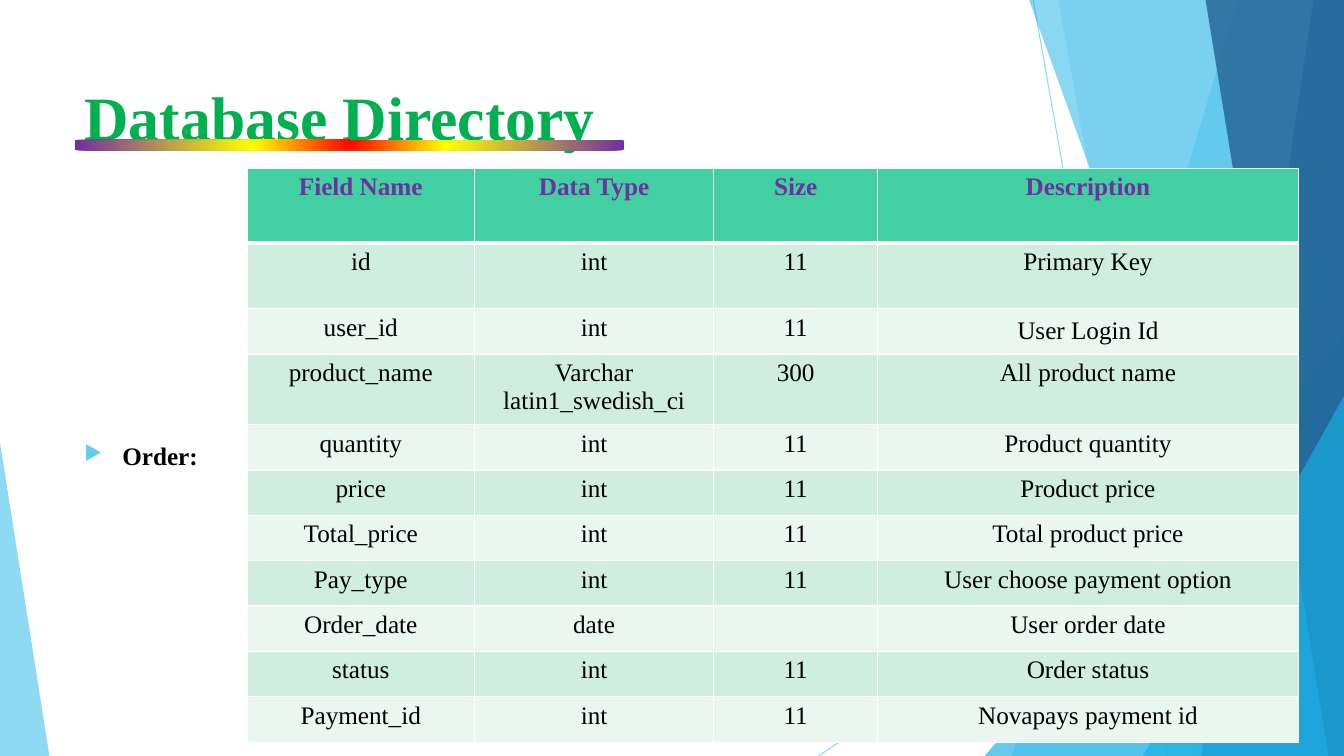
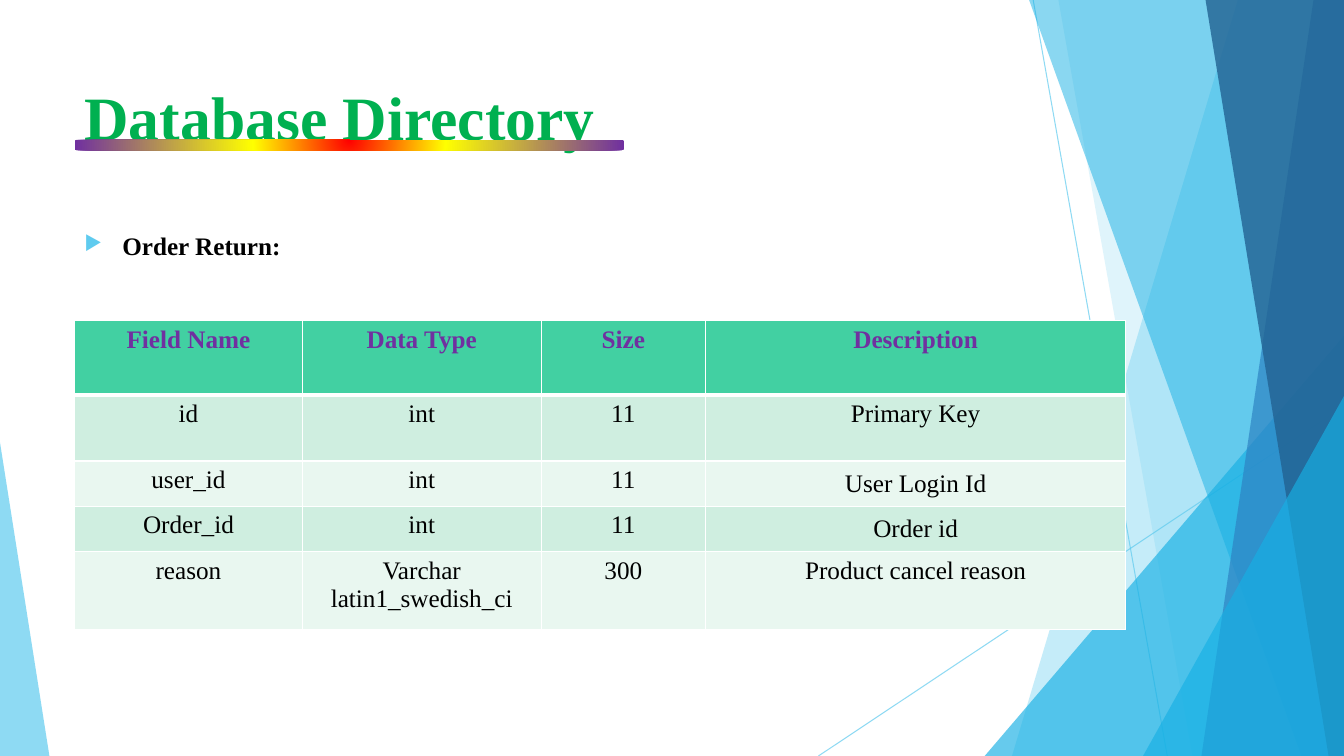
from dataclasses import dataclass
from typing import NamedTuple

from lxml.etree import SubElement
from pptx import Presentation
from pptx.dml.color import RGBColor as RGB
from pptx.enum.shapes import MSO_CONNECTOR as CONN, MSO_SHAPE as SHAPE
from pptx.enum.text import MSO_ANCHOR as ANCHOR, PP_ALIGN as ALIGN
from pptx.oxml import parse_xml
from pptx.oxml.ns import nsdecls, qn
from pptx.util import Pt


# Theme
@dataclass(frozen=True)
class Theme:
    font: str = "Times New Roman"
    title_size: float = 44
    text_size: float = 18
    title: str = "00B050"
    text: str = "000000"
    header_text: str = "7030A0"
    header_fill: str = "42D0A2"
    bands: tuple[str, str] = ("CFEEE0", "E9F7F0")
    border: str = "FFFFFF"
    sky: str = "5FCBEF"
    cyan: str = "17B0E4"
    blue: str = "2E83C3"
    navy: str = "226292"
    rainbow: tuple[tuple[int, str], ...] = (
        (0, "FF0000"), (35, "FFFF00"), (100, "7030A0"))


T = Theme()
WIDTH, HEIGHT = 960, 540
LEFT = 53.3
COLUMNS = (162.7, 170.6, 117.4, 300.2)
HEADER_HEIGHT = 53.3


# Repeated elements
class Ray(NamedTuple):
    x1: float
    y1: float
    x2: float
    y2: float


class Strip(NamedTuple):
    """Band from a slanted left edge to the right side of the slide."""
    top_x: float
    bottom_x: float
    color: str
    alpha: int


class Corner(NamedTuple):
    """Triangle standing on the bottom of the slide."""
    x: float
    y: float
    width: float
    apex: float
    color: str
    alpha: int


class Row(NamedTuple):
    field: str
    data_type: str
    size: str
    description: str
    height: float = 32.4
    middle: bool = False


class Page(NamedTuple):
    label: str
    label_y: float
    table_x: float
    table_y: float
    rows: tuple[Row, ...]


RAYS = (Ray(738, 0, 833.8, HEIGHT), Ray(WIDTH, 290.2, 584.6, HEIGHT))
FACETS = (
    Strip(884.2, 722.9, T.sky, 36),
    Strip(756, 851.8, T.sky, 20),
    Corner(703.4, 239.8, 256.6, 1, T.cyan, 66),
    Strip(735.1, 929.5, T.cyan, 50),
    Strip(938.2, 858.2, T.blue, 70),
    Strip(861.1, 949, T.navy, 80),
    Corner(816.5, 283, 143.5, 1, T.cyan, 66),
    Corner(0, 316.1, 35.3, 0, T.sky, 70),
)

HEADER = Row("Field Name", "Data Type", "Size", "Description", HEADER_HEIGHT)
KEY_ROWS = (
    Row("id", "int", "11", "Primary Key", 47),
    Row("user_id", "int", "11", "User Login Id", middle=True),
)
VARCHAR = "Varchar latin1_swedish_ci"
PAGES = (
    Page("Order:", 311.2, 176.4, 120.2, KEY_ROWS + (
        Row("product_name", VARCHAR, "300", "All product name", 47),
        Row("quantity", "int", "11", "Product quantity"),
        Row("price", "int", "11", "Product price"),
        Row("Total_price", "int", "11", "Total product price"),
        Row("Pay_type", "int", "11", "User choose payment option"),
        Row("Order_date", "date", "", "User order date"),
        Row("status", "int", "11", "Order status"),
        Row("Payment_id", "int", "11", "Novapays payment id"),
    )),
    Page("Order Return:", 161.2, LEFT, 229, KEY_ROWS + (
        Row("Order_id", "int", "11", "Order id", middle=True),
        Row("reason", VARCHAR, "300", "Product cancel reason", 55.6),
    )),
)


# Formatting helpers
def set_alpha(parent, alpha: int) -> None:
    for color in parent.iter(qn("a:srgbClr")):
        SubElement(color, qn("a:alpha"), val=str(alpha * 1000))


def paint(sp, color: str, alpha: int) -> None:
    sp.shadow.inherit = False
    sp.fill.solid()
    sp.fill.fore_color.rgb = RGB.from_string(color)
    sp.line.fill.background()
    set_alpha(sp.element.spPr, alpha)


def write(p, text: str, color: str, size: float, bold: bool) -> None:
    r = p.add_run()
    r.text = text
    for name, value in {"name": T.font, "size": Pt(size), "bold": bold}.items():
        setattr(r.font, name, value)
    r.font.color.rgb = RGB.from_string(color)


def add_text(s, x: float, y: float, w: float, h: float,
             text: str, color: str, size: float):
    tf = s.shapes.add_textbox(Pt(x), Pt(y), Pt(w), Pt(h)).text_frame
    for name, value in {"word_wrap": True, "vertical_anchor": ANCHOR.TOP}.items():
        setattr(tf, name, value)
    p = tf.paragraphs[0]
    write(p, text, color, size, True)
    return p


# Background
def add_ray(s, ray: Ray) -> None:
    line = s.shapes.add_connector(CONN.STRAIGHT, *map(Pt, ray))
    line.line.width = Pt(0.75)
    line.line.color.rgb = RGB.from_string(T.sky)
    set_alpha(line.element.spPr, 70)
    SubElement(line.element.spPr, qn("a:effectLst"))


def add_strip(s, strip: Strip) -> None:
    builder = s.shapes.build_freeform(Pt(strip.top_x), 0)
    builder.add_line_segments([
        (Pt(WIDTH), 0), (Pt(WIDTH), Pt(HEIGHT)),
        (Pt(strip.bottom_x), Pt(HEIGHT))], close=True)
    paint(builder.convert_to_shape(), strip.color, strip.alpha)


def add_corner(s, corner: Corner) -> None:
    sp = s.shapes.add_shape(SHAPE.ISOSCELES_TRIANGLE, Pt(corner.x), Pt(corner.y),
                            Pt(corner.width), Pt(HEIGHT - corner.y))
    sp.adjustments[0] = corner.apex
    paint(sp, corner.color, corner.alpha)


def add_background(s) -> None:
    for ray in RAYS:
        add_ray(s, ray)
    for facet in FACETS:
        if isinstance(facet, Strip):
            add_strip(s, facet)
        else:
            add_corner(s, facet)


# Title and label
def add_title(s) -> None:
    add_text(s, LEFT, 52.8, 694.8, 60, "Database Directory", T.title, T.title_size)
    bar = s.shapes.add_shape(SHAPE.ROUNDED_RECTANGLE,
                             Pt(LEFT), Pt(100), Pt(392.4), Pt(7.4))
    bar.shadow.inherit = False
    bar.line.fill.background()
    bar.fill.background()
    stops = "".join(f'<a:gs pos="{pos * 1000}"><a:srgbClr val="{color}"/></a:gs>'
                    for pos, color in T.rainbow)
    gradient = parse_xml(
        f'<a:gradFill {nsdecls("a")} rotWithShape="1"><a:gsLst>{stops}</a:gsLst>'
        '<a:path path="circle"><a:fillToRect l="50000" t="-80000" r="50000" '
        'b="180000"/></a:path></a:gradFill>')
    sp_pr = bar.element.spPr
    sp_pr.replace(sp_pr.find(qn("a:noFill")), gradient)


def add_label(s, text: str, y: float) -> None:
    p = add_text(s, LEFT, y, 676.8, 30, text, T.text, T.text_size)
    p_pr = p._p.get_or_add_pPr()
    indent = Pt(27)
    p_pr.set("marL", str(indent))
    p_pr.set("indent", str(-indent))
    color = SubElement(p_pr, qn("a:buClr"))
    SubElement(color, qn("a:srgbClr"), val=T.sky)
    SubElement(p_pr, qn("a:buSzPct"), val="80000")
    SubElement(p_pr, qn("a:buChar"), char="▶")


# Table
def set_borders(cell, top: float, bottom: float) -> None:
    tc_pr = cell._tc.get_or_add_tcPr()
    widths = {"lnL": 1, "lnR": 1, "lnT": top, "lnB": bottom}
    for i, (tag, width) in enumerate(widths.items()):
        tc_pr.insert(i, parse_xml(
            f'<a:{tag} {nsdecls("a")} w="{Pt(width)}"><a:solidFill>'
            f'<a:srgbClr val="{T.border}"/></a:solidFill></a:{tag}>'))


def add_fields(s, page: Page) -> None:
    rows = (HEADER,) + page.rows
    table = s.shapes.add_table(
        len(rows), len(COLUMNS), Pt(page.table_x), Pt(page.table_y),
        Pt(sum(COLUMNS)), Pt(sum(row.height for row in rows))).table
    for column, width in zip(table.columns, COLUMNS):
        column.width = Pt(width)
    for i, row in enumerate(rows):
        table.rows[i].height = Pt(row.height)
        header = i == 0
        fill = T.header_fill if header else T.bands[(i - 1) % 2]
        for j, text in enumerate(row[:len(COLUMNS)]):
            cell = table.cell(i, j)
            cell.fill.solid()
            cell.fill.fore_color.rgb = RGB.from_string(fill)
            set_borders(cell, 3 if i == 1 else 1, 3 if header else 1)
            last = j == len(COLUMNS) - 1
            cell.vertical_anchor = (
                ANCHOR.MIDDLE if row.middle and last else ANCHOR.TOP)
            p = cell.text_frame.paragraphs[0]
            p.alignment = ALIGN.CENTER
            if text:
                write(p, text, T.header_text if header else T.text,
                      T.text_size, header)


def main() -> None:
    prs = Presentation()
    prs.slide_width, prs.slide_height = Pt(WIDTH), Pt(HEIGHT)
    for page in PAGES:
        s = prs.slides.add_slide(prs.slide_layouts[6])
        add_background(s)
        add_label(s, page.label, page.label_y)
        add_title(s)
        add_fields(s, page)
    prs.save("out.pptx")


if __name__ == "__main__":
    main()
